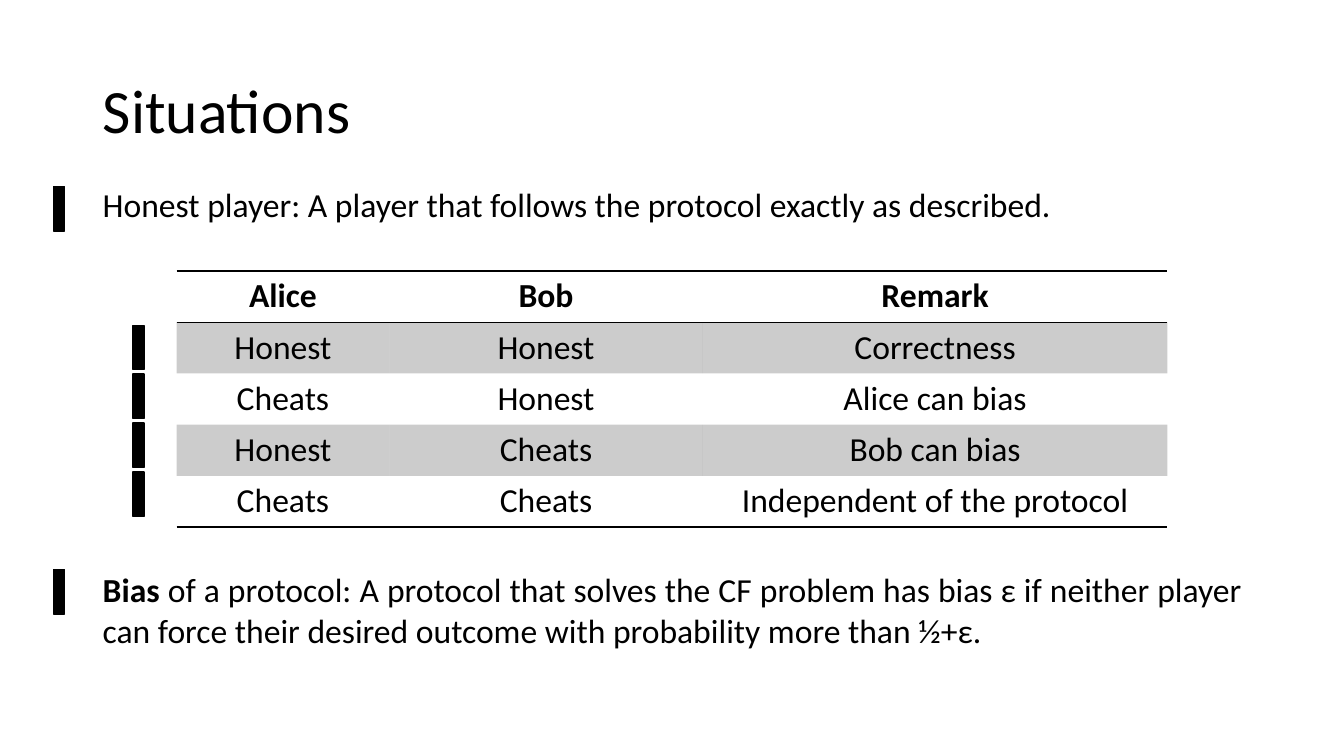
from lxml import etree
from pptx import Presentation
from pptx.dml.color import RGBColor
from pptx.enum.shapes import MSO_SHAPE
from pptx.enum.text import MSO_ANCHOR, PP_ALIGN
from pptx.oxml.ns import qn
from pptx.util import Cm, Pt

# Content
TITLE = [("Situations", False)]
HONEST = [("Honest player: A player that follows the protocol exactly as described.", False)]
BIAS = [
    ("Bias", True),
    (" of a protocol: A protocol that solves the CF problem has bias ε if neither player "
     "can force their desired outcome with probability more than ½+ε.", False),
]
SITUATIONS = [
    ("Alice", "Bob", "Remark"),
    ("Honest", "Honest", "Correctness"),
    ("Cheats", "Honest", "Alice can bias"),
    ("Honest", "Cheats", "Bob can bias"),
    ("Cheats", "Cheats", "Independent of the protocol"),
]

# Style
FONT = "Calibri"
BLACK = RGBColor(0, 0, 0)
TITLE_SIZE, BODY_SIZE = 44, 24
LEFT, CENTER, JUSTIFY = PP_ALIGN.LEFT, PP_ALIGN.CENTER, PP_ALIGN.JUSTIFY
TOP, MIDDLE = MSO_ANCHOR.TOP, MSO_ANCHOR.MIDDLE
RECTANGLE = MSO_SHAPE.RECTANGLE
PLAIN_TABLE = "{2D5ABB26-0587-4C30-8999-92F81FD0307C}"

# Layout in centimetres
TEXT_X, TEXT_W = 2.34, 29.21
TABLE_X, TABLE_Y = 4.45, 6.83
COL_WIDTHS = [5.36, 7.9, 11.71]
ROW_H = 1.29
BAR_W, BAR_H = 0.28, 1.12
TEXT_BAR_X, ROW_BAR_X = 1.35, 3.35
ROW_BAR_Y, ROW_BAR_STEP = 8.2, 1.23

prs = Presentation()
prs.slide_width, prs.slide_height = Cm(33.87), Cm(19.05)
s = prs.slides.add_slide(prs.slide_layouts[6])


def add_runs(p, runs, size):
    for text, bold in runs:
        r = p.add_run()
        r.text = text
        r.font.name = FONT
        r.font.size = Pt(size)
        r.font.bold = bold
        r.font.color.rgb = BLACK


def add_text(y, h, runs, size=BODY_SIZE, align=LEFT, anchor=TOP, spacing=1.0):
    tf = s.shapes.add_textbox(Cm(TEXT_X), Cm(y), Cm(TEXT_W), Cm(h)).text_frame
    tf.word_wrap = True
    tf.vertical_anchor = anchor
    p = tf.paragraphs[0]
    p.alignment = align
    p.line_spacing = spacing
    add_runs(p, runs, size)


def add_bar(x, y):
    sp = s.shapes.add_shape(RECTANGLE, Cm(x), Cm(y), Cm(BAR_W), Cm(BAR_H))
    sp.shadow.inherit = False
    sp.fill.solid()
    sp.fill.fore_color.rgb = BLACK
    sp.line.color.rgb = BLACK
    sp.line.width = Pt(1)


def shade(cell):
    cell.fill.solid()
    cell.fill.fore_color.rgb = BLACK
    color = cell._tc.tcPr.find(".//" + qn("a:srgbClr"))
    etree.SubElement(color, qn("a:alpha"), val="20000")


def add_borders(cell, sides):
    tcPr = cell._tc.get_or_add_tcPr()
    for i, side in enumerate(sides):
        ln = etree.Element(qn("a:ln" + side), w=str(Pt(1)))
        fill = etree.SubElement(ln, qn("a:solidFill"))
        etree.SubElement(fill, qn("a:srgbClr"), val=str(BLACK))
        tcPr.insert(i, ln)


# Title
add_text(1.02, 3.68, TITLE, TITLE_SIZE, anchor=MIDDLE, spacing=0.9)

# Table of situations
n_rows = len(SITUATIONS)
frame = s.shapes.add_table(n_rows, len(COL_WIDTHS), Cm(TABLE_X), Cm(TABLE_Y),
                           Cm(sum(COL_WIDTHS)), Cm(ROW_H * n_rows))
table = frame.table
table._tbl.tblPr.find(qn("a:tableStyleId")).text = PLAIN_TABLE
for column, width in zip(table.columns, COL_WIDTHS):
    column.width = Cm(width)
for i, row in enumerate(SITUATIONS):
    table.rows[i].height = Cm(ROW_H)
    for j, text in enumerate(row):
        cell = table.cell(i, j)
        p = cell.text_frame.paragraphs[0]
        p.alignment = CENTER
        add_runs(p, [(text, i == 0)], BODY_SIZE)
        if i % 2:
            shade(cell)
        else:
            cell.fill.background()
        if i == 0:
            add_borders(cell, "TB")
        elif i == n_rows - 1:
            add_borders(cell, "B")

# Definitions
add_text(4.52, 1.27, HONEST)
add_text(14.22, 2.31, BIAS, align=JUSTIFY)

# Marker bars beside the definitions and the table rows
for y in (4.7, 14.35):
    add_bar(TEXT_BAR_X, y)
for i in range(n_rows - 1):
    add_bar(ROW_BAR_X, ROW_BAR_Y + i * ROW_BAR_STEP)

prs.save("out.pptx")
